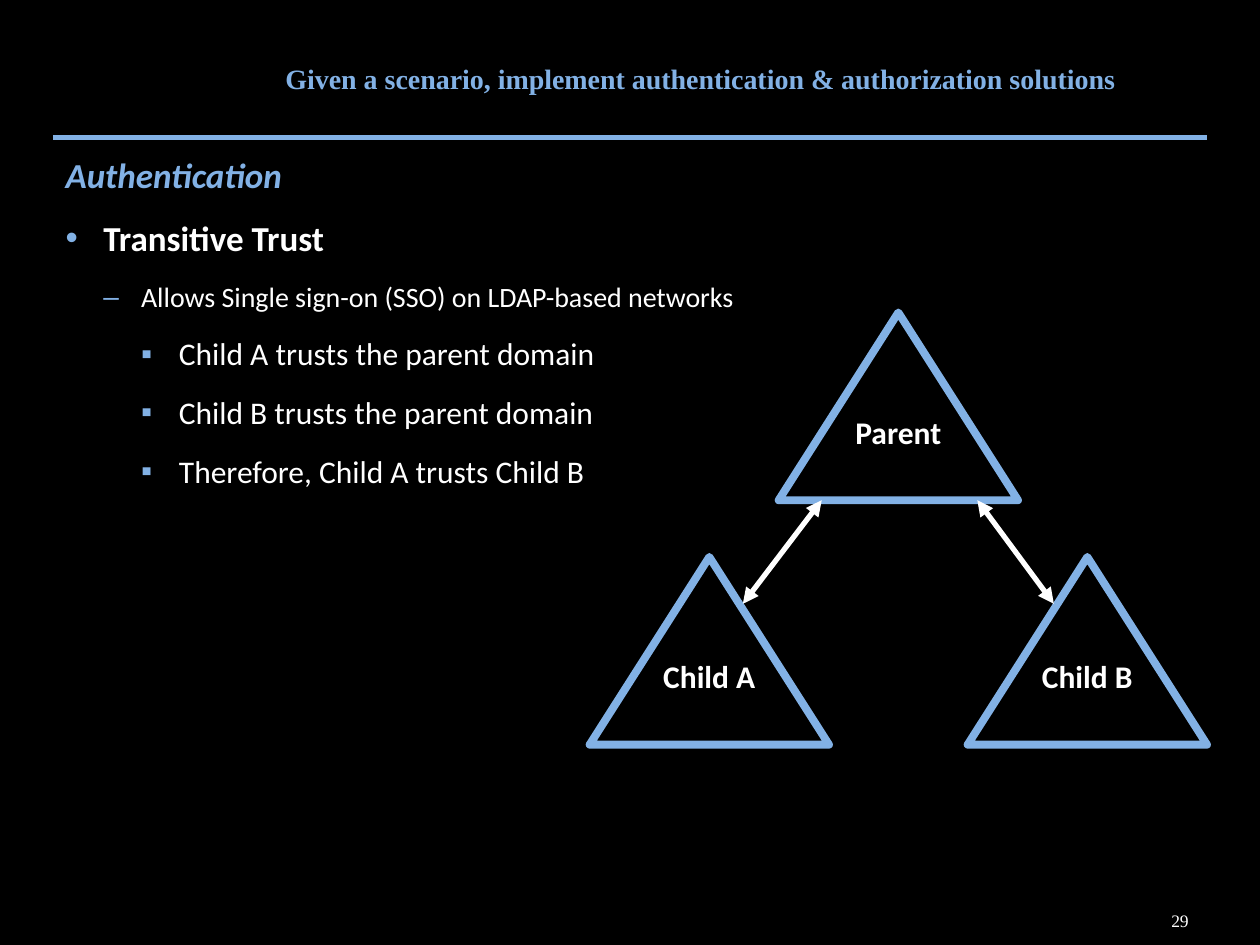
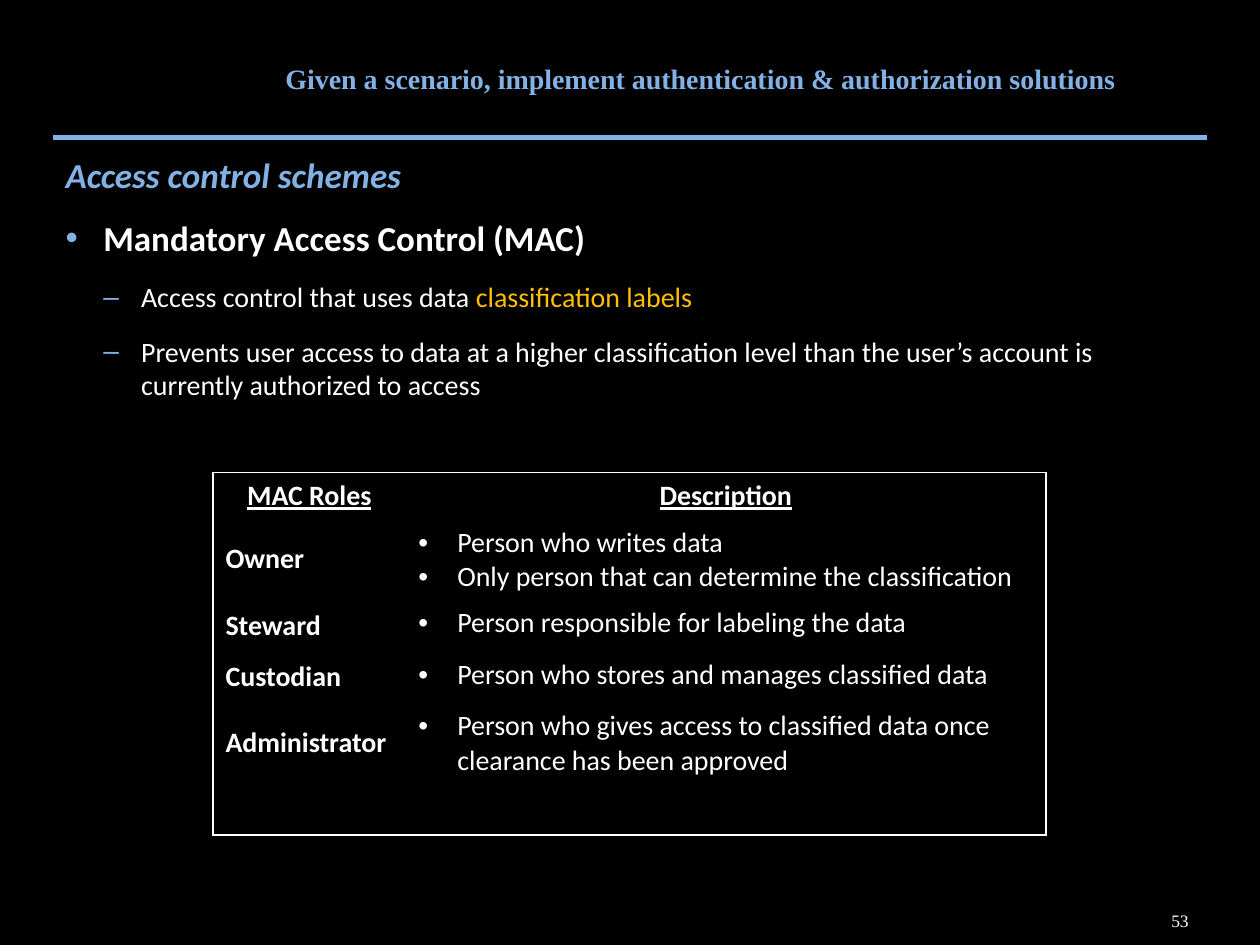
from lxml import etree
from pptx import Presentation
from pptx.dml.color import RGBColor
from pptx.enum.shapes import MSO_CONNECTOR, MSO_SHAPE
from pptx.enum.text import MSO_ANCHOR, MSO_AUTO_SIZE, PP_ALIGN
from pptx.oxml.ns import qn
from pptx.util import Inches, Pt

BLACK = RGBColor(0x00, 0x00, 0x00)
WHITE = RGBColor(0xFF, 0xFF, 0xFF)
BLUE = RGBColor(0x82, 0xB1, 0xE5)
GOLD = RGBColor(0xFF, 0xC0, 0x00)
SANS, SERIF = "Calibri", "Times New Roman"
CENTER, LEFT = PP_ALIGN.CENTER, PP_ALIGN.LEFT
TOP, MIDDLE = MSO_ANCHOR.TOP, MSO_ANCHOR.MIDDLE
STRAIGHT, TRIANGLE = MSO_CONNECTOR.STRAIGHT, MSO_SHAPE.ISOSCELES_TRIANGLE
NO_FIT = MSO_AUTO_SIZE.NONE

# Boxes in inches: left, top, width, height
SLIDE_W, SLIDE_H = 10, 7.5
MARGIN = 0.42
RULE_Y = 1.09
TITLE_BOX = (1.52, 0.08, 8.08, 1.08)
BODY_BOX = (MARGIN, 1.17, 9.17, 5.83)
NUMBER_BOX = (8.74, 7.14, 1.25, 0.33)
DIAGRAM_BOX = (4.68, 2.48, 4.9, 3.43)
TABLE_BOX = (1.69, 3.75, 6.61, 2.88)

TITLE = "Given a scenario, implement authentication & authorization solutions"
INDENT = 0.3
# Outline level: bullet, size, bold, italic, colour
LEVELS = [
    (None, 20, True, True, BLUE),
    ("•", 20, True, False, WHITE),
    ("–", 16, False, False, WHITE),
    ("▪", 18, False, False, WHITE),
]


def place(s, box):
    s.left, s.top, s.width, s.height = (Inches(v) for v in box)


def add_run(p, text, size, color=WHITE, font=SANS, bold=False, italic=False, underline=False):
    r = p.add_run()
    r.text = text
    f = r.font
    f.name, f.size, f.color.rgb = font, Pt(size), color
    f.bold, f.italic, f.underline = bold, italic, underline


def set_bullet(p, char, margin, hang, color):
    pPr = p._p.get_or_add_pPr()
    pPr.set("marL", str(Inches(margin)))
    pPr.set("indent", str(-Inches(hang)))
    if char is None:
        etree.SubElement(pPr, qn("a:buNone"))
        return
    clr = etree.SubElement(pPr, qn("a:buClr"))
    etree.SubElement(clr, qn("a:srgbClr"), val=str(color))
    etree.SubElement(pPr, qn("a:buFont"), typeface="Arial")
    etree.SubElement(pPr, qn("a:buChar"), char=char)


def add_line(slide, start, end, color, arrows=False):
    s = slide.shapes.add_connector(STRAIGHT, *(Inches(v) for v in (*start, *end)))
    s.line.color.rgb = color
    s.line.width = Pt(3)
    if arrows:
        for tag in ("a:headEnd", "a:tailEnd"):
            etree.SubElement(s.line._get_or_add_ln(), qn(tag), type="triangle")
    etree.SubElement(s._element.spPr, qn("a:effectLst"))


def add_title(s, box):
    place(s, box)
    tf = s.text_frame
    tf.auto_size, tf.vertical_anchor = NO_FIT, MIDDLE
    p = tf.paragraphs[0]
    p.alignment = CENTER
    add_run(p, TITLE, 16, BLUE, SERIF, bold=True)


def add_outline(s, box, items):
    """Fill the body with (level, runs); a run is (text, colour or None)."""
    place(s, box)
    tf = s.text_frame
    tf.auto_size, tf.vertical_anchor = NO_FIT, TOP
    for i, (level, runs) in enumerate(items):
        char, size, bold, italic, color = LEVELS[level]
        p = tf.paragraphs[0] if i == 0 else tf.add_paragraph()
        p.level = level
        set_bullet(p, char, level * INDENT, INDENT if level else 0, BLUE)
        p.space_before = Pt(12 if i else 0)
        for text, accent in runs:
            add_run(p, text, size, accent or color, bold=bold, italic=italic)


def add_number(slide, box, number):
    s = slide.shapes.add_textbox(*(Inches(v) for v in box))
    tf = s.text_frame
    tf.word_wrap, tf.vertical_anchor = True, MIDDLE
    p = tf.paragraphs[0]
    p.alignment = CENTER
    add_run(p, str(number), 10, font=SERIF)


def add_base_slide(prs, number, items):
    """Title, rule, outline and page number shared by all slides."""
    slide = prs.slides.add_slide(prs.slide_layouts[1])
    fill = slide.background.fill
    fill.solid()
    fill.fore_color.rgb = BLACK
    add_line(slide, (MARGIN, RULE_Y), (SLIDE_W - MARGIN, RULE_Y), BLUE)
    add_title(slide.shapes.title, TITLE_BOX)
    add_outline(slide.placeholders[1], BODY_BOX, items)
    add_number(slide, NUMBER_BOX, number)
    return slide


def add_domain(slide, box, name):
    s = slide.shapes.add_shape(TRIANGLE, *(Inches(v) for v in box))
    s.shadow.inherit = False
    s.fill.background()
    s.line.color.rgb = BLUE
    s.line.width = Pt(4.5)
    tf = s.text_frame
    tf.word_wrap, tf.vertical_anchor = False, TOP
    p = tf.paragraphs[0]
    p.alignment = CENTER
    add_run(p, name, 18, bold=True)


def add_trust_diagram(slide, box):
    """Parent on top centre, children in the lower corners."""
    x, y, w, h = box
    tw, th = 1.9, 1.49
    child_y = y + h - th
    parent_x = x + (w - tw) / 2
    child_a_x, child_b_x = x, x + w - tw
    add_domain(slide, (child_a_x, child_y, tw, th), "Child A")
    add_domain(slide, (parent_x, y, tw, th), "Parent")
    add_domain(slide, (child_b_x, child_y, tw, th), "Child B")
    # Each arrow joins a child's inner flank to the parent's base
    for child_x, flank, base in ((child_a_x, 0.64, 0.18), (child_b_x, 0.36, 0.83)):
        add_line(slide, (child_x + flank * tw, child_y + 0.25 * th),
                 (parent_x + base * tw, y + th), WHITE, arrows=True)


def set_borders(cell, sides):
    """Draw the named sides (of L, R, T, B) in white and hide the others."""
    tcPr = cell._tc.get_or_add_tcPr()
    for i, side in enumerate("LRTB"):
        ln = etree.Element(qn("a:ln" + side), w=str(Pt(1)))
        if side in sides:
            fill = etree.SubElement(ln, qn("a:solidFill"))
            etree.SubElement(fill, qn("a:srgbClr"), val=str(WHITE))
        else:
            etree.SubElement(ln, qn("a:noFill"))
        tcPr.insert(i, ln)


def add_roles_table(slide, box, roles):
    x, y, w, h = box
    row_heights = [0.37, 0.64, 0.41, 0.41, 0.64, 0.41]
    last = len(row_heights) - 1
    table = slide.shapes.add_table(last + 1, 2, *(Inches(v) for v in box)).table
    table.first_row = table.horz_banding = False
    table.columns[0].width, table.columns[1].width = Inches(1.53), Inches(w - 1.53)
    for row, height in zip(table.rows, row_heights):
        row.height = Inches(height)

    # Black cells inside a white outer frame
    for i in range(last + 1):
        for j in range(2):
            cell = table.cell(i, j)
            cell.fill.solid()
            cell.fill.fore_color.rgb = BLACK
            set_borders(cell, "LR"[j] + ("T" if i == 0 else "") + ("B" if i == last else ""))

    # Header
    for j, text in enumerate(("MAC Roles", "Description")):
        p = table.cell(0, j).text_frame.paragraphs[0]
        p.alignment = CENTER
        add_run(p, text, 16, bold=True, underline=True)

    # Role names and their bulleted duties
    for i, (role, duties) in enumerate(roles, 1):
        name = table.cell(i, 0)
        name.vertical_anchor = MIDDLE
        add_run(name.text_frame.paragraphs[0], role, 16, bold=True)
        tf = table.cell(i, 1).text_frame
        for k, duty in enumerate(duties):
            p = tf.paragraphs[0] if k == 0 else tf.add_paragraph()
            p.alignment = LEFT
            set_bullet(p, "•", 0.31, 0.31, WHITE)
            add_run(p, duty, 16)


def main():
    prs = Presentation()
    prs.slide_width, prs.slide_height = Inches(SLIDE_W), Inches(SLIDE_H)

    # Transitive trust
    slide = add_base_slide(prs, 29, [
        (0, [("Authentication", None)]),
        (1, [("Transitive Trust", None)]),
        (2, [("Allows Single sign-on (SSO) on LDAP-based networks", None)]),
        (3, [("Child A trusts the parent domain", None)]),
        (3, [("Child B trusts the parent domain", None)]),
        (3, [("Therefore, Child A trusts Child B", None)]),
    ])
    add_trust_diagram(slide, DIAGRAM_BOX)

    # Mandatory access control
    slide = add_base_slide(prs, 53, [
        (0, [("Access control schemes", None)]),
        (1, [("Mandatory Access Control (MAC)", None)]),
        (2, [("Access control that uses data ", None), ("classification labels", GOLD)]),
        (2, [("Prevents user access to data at a higher classification level than "
              "the user’s account is currently authorized to access", None)]),
    ])
    add_roles_table(slide, TABLE_BOX, [
        ("Owner", ["Person who writes data",
                   "Only person that can determine the classification"]),
        ("Steward", ["Person responsible for labeling the data"]),
        ("Custodian", ["Person who stores and manages classified data"]),
        ("Administrator", ["Person who gives access to classified data once "
                           "clearance has been approved"]),
    ])
    prs.save("out.pptx")


if __name__ == "__main__":
    main()
